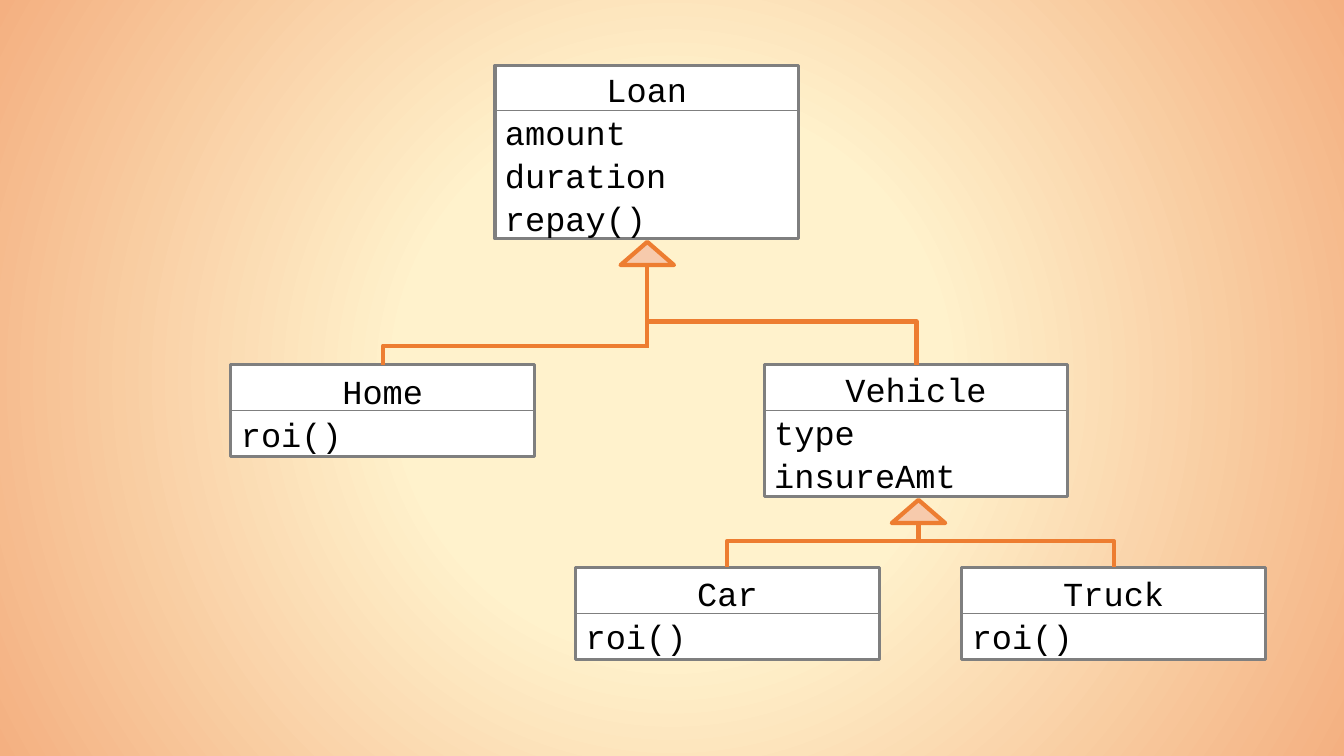
from pptx import Presentation
from pptx.dml.color import RGBColor
from pptx.enum.shapes import MSO_CONNECTOR as CONN, MSO_SHAPE as SHAPE
from pptx.enum.text import MSO_ANCHOR as ANCHOR, PP_ALIGN as ALIGN
from pptx.oxml import parse_xml
from pptx.oxml.ns import nsdecls, qn
from pptx.util import Inches, Pt

BOX_W, HEADER_H = 3.01, 0.45
HEAD_W, HEAD_H = 0.53, 0.23


def rgb(value):
    return RGBColor.from_string(value)


class ClassDiagram:
    font, size, ink = "Courier New", 24, "000000"
    paper, border = "FFFFFF", "7F7F7F"
    accent, pale = "ED7D31", "F7CAAC"

    def __init__(self, s):
        self.s = s

    def background(self, stops):
        """Fill the slide with a circular gradient that starts at its centre."""
        self.s.background.fill.gradient()
        old = self.s.element.find(".//" + qn("a:gradFill"))
        marks = "".join(f'<a:gs pos="{pos * 1000}"><a:srgbClr val="{color}"/></a:gs>'
                        for pos, color in stops)
        old.getparent().replace(old, parse_xml(
            f'<a:gradFill {nsdecls("a")} rotWithShape="1"><a:gsLst>{marks}</a:gsLst>'
            '<a:path path="circle"><a:fillToRect l="50000" t="50000" r="50000" b="50000"/>'
            '</a:path></a:gradFill>'))

    def shape(self, kind, x, y, w, h, fill, line, width):
        sp = self.s.shapes.add_shape(kind, Inches(x), Inches(y), Inches(w), Inches(h))
        sp.shadow.inherit = False
        sp.fill.solid()
        sp.fill.fore_color.rgb = rgb(fill)
        sp.line.color.rgb = rgb(line)
        sp.line.width = Pt(width)
        return sp

    def line(self, x1, y1, x2, y2, color, width, kind=CONN.STRAIGHT):
        cx = self.s.shapes.add_connector(kind, Inches(x1), Inches(y1), Inches(x2), Inches(y2))
        cx.line.color.rgb = rgb(color)
        cx.line.width = Pt(width)
        props = cx.element.spPr
        props.append(parse_xml(f'<a:effectLst {nsdecls("a")}/>'))
        if kind == CONN.ELBOW:
            props.find(qn("a:prstGeom")).set("prst", "bentConnector2")
        return cx

    def class_box(self, x, y, h, name, *members):
        sp = self.shape(SHAPE.RECTANGLE, x, y, BOX_W, h, self.paper, self.border, 2.25)
        tf = sp.text_frame
        tf.word_wrap = True
        tf.vertical_anchor = ANCHOR.MIDDLE
        for i, text in enumerate((name, *members)):
            p = tf.add_paragraph() if i else tf.paragraphs[0]
            p.text = text
            p.alignment = ALIGN.LEFT if i else ALIGN.CENTER
            p.line_spacing = 1.07
            p.font.name, p.font.size = self.font, Pt(self.size)
            p.font.color.rgb = rgb(self.ink)
        divider = self.line(x, y + HEADER_H, x + BOX_W, y + HEADER_H, self.border, 0.75)
        if len(members) == 1:
            divider.begin_connect(sp, 1)
            divider.end_connect(sp, 3)

    def inheritance(self, x, top, stem_end, branches):
        """Draw the arrowhead, its stem and a bent branch to each subclass."""
        self.shape(SHAPE.ISOSCELES_TRIANGLE, x - HEAD_W / 2, top, HEAD_W, HEAD_H,
                   self.pale, self.accent, 3)
        self.line(x, top + HEAD_H, x, stem_end, self.accent, 3)
        for turn_y, end_x, end_y in branches:
            self.line(x, turn_y, end_x, end_y, self.accent, 3, CONN.ELBOW)


def main():
    prs = Presentation()
    prs.slide_width, prs.slide_height = Inches(13.33), Inches(7.5)
    d = ClassDiagram(prs.slides.add_slide(prs.slide_layouts[6]))
    d.background([(0, "FFF2CC"), (35, "FFF2CC"), (100, "F4B081")])

    d.class_box(4.91, 0.65, 1.72, "Loan", "amount", "duration", "repay()")
    d.class_box(2.29, 3.62, 0.91, "Home", "roi()")
    d.class_box(7.58, 3.62, 1.31, "Vehicle", "type", "insureAmt")
    d.class_box(5.71, 5.63, 0.91, "Car", "roi()")
    d.class_box(9.54, 5.63, 0.91, "Truck", "roi()")

    d.inheritance(6.42, 2.4, 3.45, [(3.43, 3.8, 3.62), (3.19, 9.09, 3.62)])
    d.inheritance(9.11, 4.96, 5.37, [(5.37, 7.21, 5.63), (5.37, 11.05, 5.63)])

    prs.save("out.pptx")


if __name__ == "__main__":
    main()
